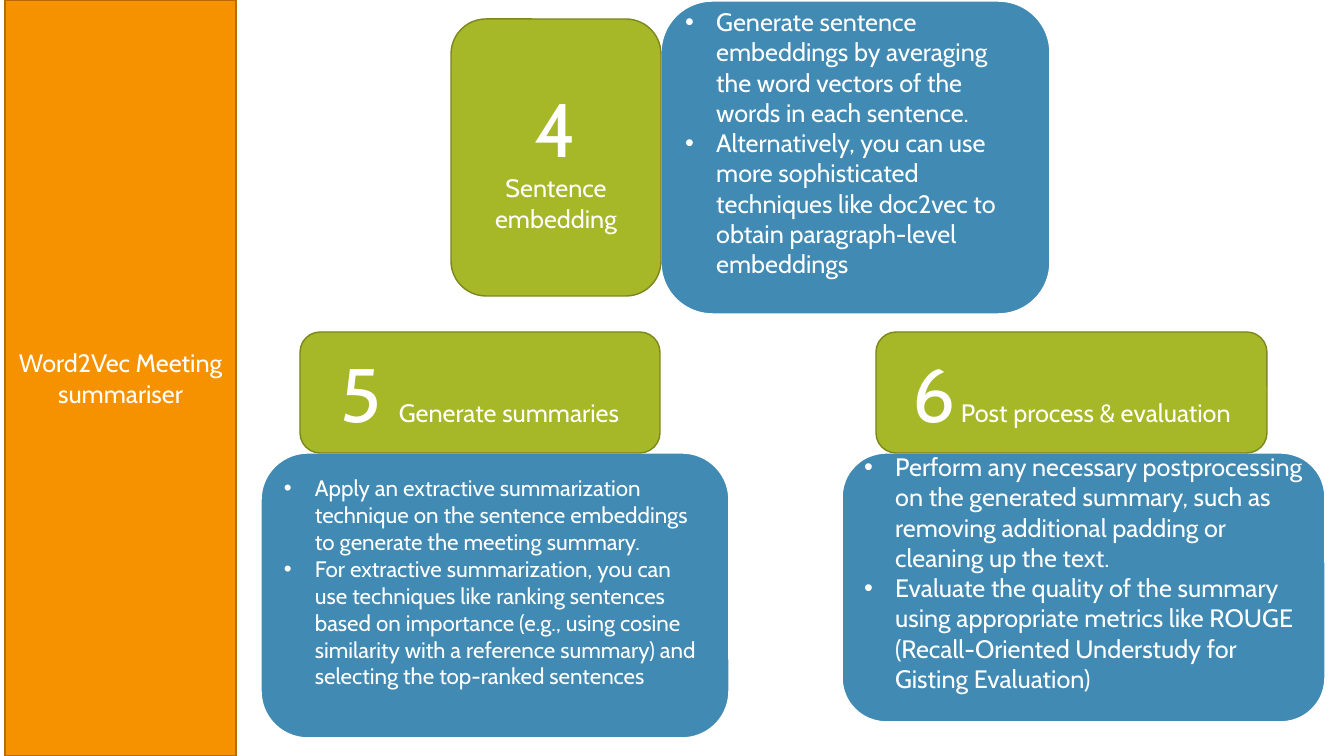
from pptx import Presentation
from pptx.dml.color import RGBColor
from pptx.enum.shapes import MSO_SHAPE
from pptx.enum.text import MSO_ANCHOR, PP_ALIGN
from pptx.oxml import parse_xml
from pptx.oxml.ns import nsdecls
from pptx.util import Pt

PX = 9071  # EMU per pixel, at 100.8 pixels to the inch


class Theme:
    font = "Cabin"
    text = "FFFFFF"
    number, body, small = 54, 18, 16
    # role: (fill, line, line width)
    banner = ("F69200", "B66C00", 1)
    heading = ("A6B727", "7B871D", 1)
    detail = ("418AB3", "FFFFFF", 2.5)


# Content: boxes are left, top, width, height in pixels
BANNER = ("Word2Vec Meeting summariser", (5, 0, 231, 756))

# A heading is a list of paragraphs, each a list of (text, size) runs;
# "spare" is the number of empty lines kept free below the bullets
STEPS = [
    dict(heading=[[("5 ", Theme.number), ("Generate summaries", Theme.body)]],
         heading_box=(300, 332, 360, 121),
         bullets=["Apply an extractive summarization technique on the sentence "
                  "embeddings to generate the meeting summary.",
                  "For extractive summarization, you can use techniques like ranking "
                  "sentences based on importance (e.g., using cosine similarity with a "
                  "reference summary) and selecting the top-ranked sentences"],
         detail_box=(260, 452, 470, 287), size=Theme.small, spare=1),
    dict(heading=[[("6", Theme.number), (" Post process & evaluation", Theme.body)]],
         heading_box=(876, 332, 391, 121),
         bullets=["Perform any necessary postprocessing on the generated summary, such "
                  "as removing additional padding or cleaning up the text.",
                  "Evaluate the quality of the summary using appropriate metrics like "
                  "ROUGE (Recall-Oriented Understudy for Gisting Evaluation)"],
         detail_box=(841, 452, 485, 271), size=Theme.body, spare=1),
    dict(heading=[[("4", Theme.number)], [("Sentence embedding", Theme.body)]],
         heading_box=(451, 19, 210, 277),
         bullets=["Generate sentence embeddings by averaging the word vectors of the "
                  "words in each sentence.",
                  "Alternatively, you can use more sophisticated techniques like "
                  "doc2vec to obtain paragraph-level embeddings"],
         detail_box=(660, 0, 391, 315), size=Theme.body, spare=1),
]
BULLET_INDENT = 31
INSET = 5
LINE_HEIGHT = 1.68  # pixels of line height per point of type


def add_box(preset, box, style, paragraphs, bulleted=False):
    shape = slide.shapes.add_shape(preset, *(v * PX for v in box))
    shape.shadow.inherit = False
    fill, line, width = style
    shape.fill.solid()
    shape.fill.fore_color.rgb = RGBColor.from_string(fill)
    shape.line.color.rgb = RGBColor.from_string(line)
    shape.line.width = Pt(width)

    frame = shape.text_frame
    frame.word_wrap = True
    frame.vertical_anchor = MSO_ANCHOR.MIDDLE
    for i, runs in enumerate(paragraphs):
        paragraph = frame.add_paragraph() if i else frame.paragraphs[0]
        paragraph.alignment = PP_ALIGN.LEFT if bulleted else PP_ALIGN.CENTER
        if bulleted:
            add_bullet(paragraph)
        for text, size in runs:
            run = paragraph.add_run()
            run.text = text
            run.font.name = Theme.font
            run.font.size = Pt(size)
            run.font.color.rgb = RGBColor.from_string(Theme.text)
    return shape


def add_bullet(paragraph):
    properties = paragraph._p.get_or_add_pPr()
    properties.set("marL", str(BULLET_INDENT * PX))
    properties.set("indent", str(-BULLET_INDENT * PX))
    properties.append(parse_xml(f'<a:buFont {nsdecls("a")} typeface="Arial"/>'))
    properties.append(parse_xml(f'<a:buChar {nsdecls("a")} char="\u2022"/>'))


prs = Presentation()
prs.slide_width, prs.slide_height = 1344 * PX, 756 * PX
slide = prs.slides.add_slide(prs.slide_layouts[6])

# Side banner
title, banner_box = BANNER
add_box(MSO_SHAPE.RECTANGLE, banner_box, Theme.banner, [[(title, Theme.body)]])

# Steps: the detail panel first, its heading on top
for step in STEPS:
    size = step["size"]
    panel = add_box(MSO_SHAPE.ROUNDED_RECTANGLE, step["detail_box"], Theme.detail,
                    [[(text, size)] for text in step["bullets"]], bulleted=True)
    spare = round(step["spare"] * size * LINE_HEIGHT)
    panel.text_frame.margin_bottom = (INSET + spare) * PX
    add_box(MSO_SHAPE.ROUNDED_RECTANGLE, step["heading_box"], Theme.heading,
            step["heading"])

prs.save("out.pptx")
